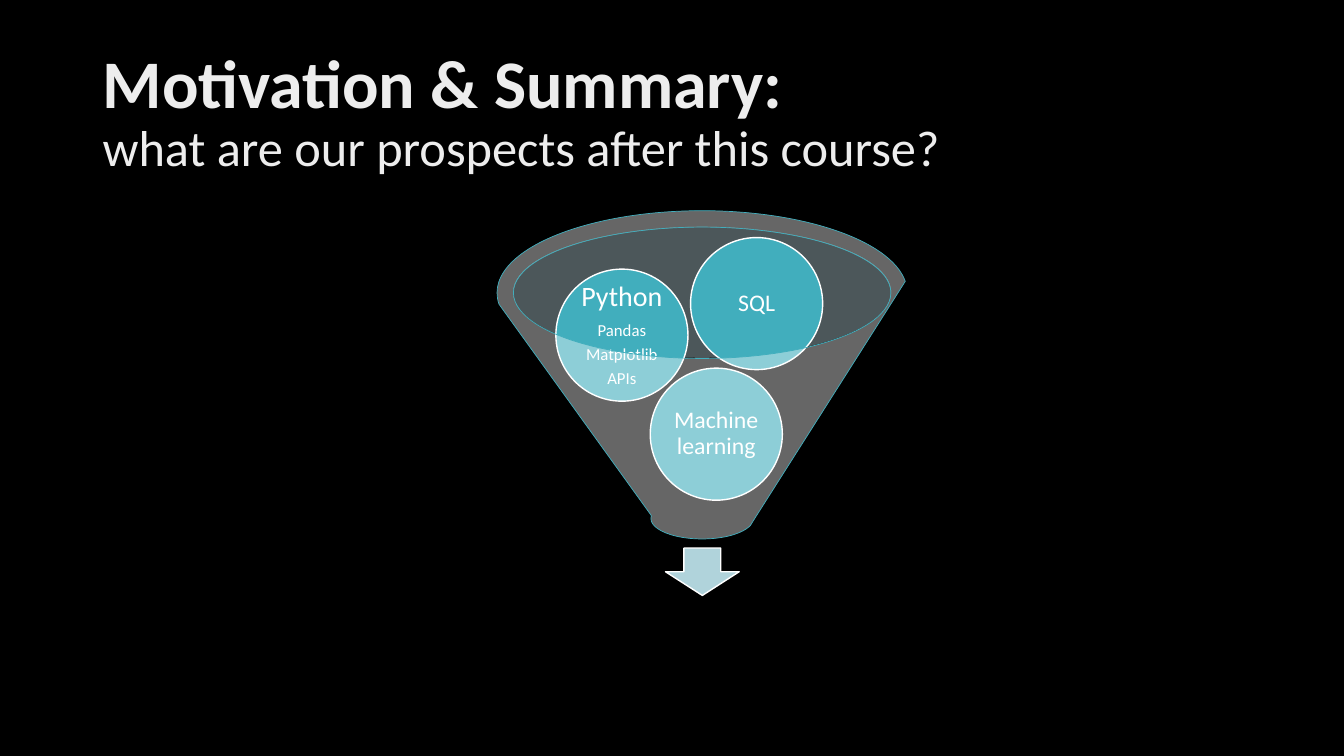
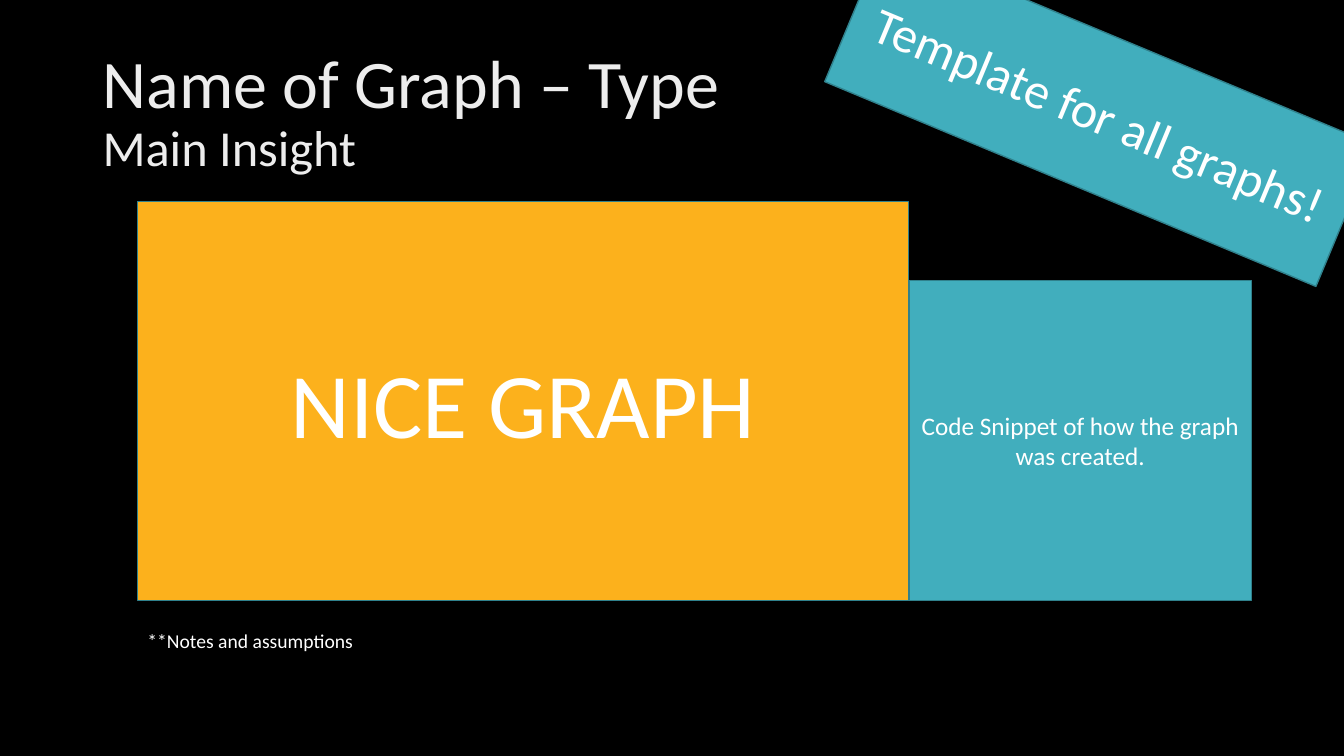
from dataclasses import dataclass

from lxml.etree import SubElement
from pptx import Presentation
from pptx.dml.color import RGBColor
from pptx.enum.shapes import MSO_SHAPE
from pptx.enum.text import MSO_ANCHOR, PP_ALIGN
from pptx.oxml.ns import qn
from pptx.util import Inches, Pt

# Shared look
FONT = "Calibri"
BLACK, WHITE, SILVER = "000000", "FFFFFF", "EDEDED"
TEAL, DARK_TEAL, PALE_TEAL, MIST = "41AEBD", "30818C", "B0D3DB", "C0DBE1"
AMBER = "FCB11C"
TITLE_SIZE, SUBTITLE_SIZE = 48.6, 36
BALL_WIDTH, BALL_HEIGHT = 9.83, 17.47

Box = tuple[float, float, float, float]  # left, top, width, height in % of slide
Line = tuple[str, float]  # wording, size in points


@dataclass
class Block:
    box: Box
    fill: str
    kind: MSO_SHAPE = MSO_SHAPE.RECTANGLE
    line: str | None = DARK_TEAL
    line_width: float = 1
    opacity: int = 100
    rotation: float = 0
    lines: tuple[Line, ...] = ()
    inset: float | None = None
    spacing: float = 1
    after: float = 0  # paragraph gap as a share of the text size


def rgb(value: str) -> RGBColor:
    return RGBColor.from_string(value)


def apply(target, values: dict) -> None:
    for name, value in values.items():
        setattr(target, name, value)


def place(box: Box) -> dict:
    x, y, w, h = (v / 100 for v in box)
    return {"left": int(x * prs.slide_width), "top": int(y * prs.slide_height),
            "width": int(w * prs.slide_width), "height": int(h * prs.slide_height)}


def add_run(p, text: str, size: float, color: str = WHITE, bold: bool = False) -> None:
    r = p.add_run()
    r.text = text
    apply(r.font, {"name": FONT, "size": Pt(size), "bold": bold})
    r.font.color.rgb = rgb(color)


def add_titled_slide(title: str, subtitle: str, bold: bool = False):
    s = prs.slides.add_slide(layout)
    tf = s.shapes.title.text_frame
    apply(tf, {"vertical_anchor": MSO_ANCHOR.MIDDLE, "word_wrap": True})
    p = tf.paragraphs[0]
    apply(p, {"alignment": PP_ALIGN.LEFT, "line_spacing": 0.9})
    add_run(p, title, TITLE_SIZE, SILVER, bold)
    p.add_line_break()
    add_run(p, subtitle, SUBTITLE_SIZE, SILVER)
    return s


def draw(s, block: Block) -> None:
    sp = s.shapes.add_shape(block.kind, **place(block.box))
    sp.shadow.inherit = False
    sp.rotation = block.rotation
    sp.fill.solid()
    sp.fill.fore_color.rgb = rgb(block.fill)
    if block.opacity < 100:
        color = sp.fill._xPr.find(qn("a:solidFill"))[0]
        SubElement(color, qn("a:alpha"), val=str(block.opacity * 1000))
    if block.line:
        sp.line.color.rgb = rgb(block.line)
        sp.line.width = Pt(block.line_width)
    else:
        sp.line.fill.background()

    tf = sp.text_frame
    apply(tf, {"vertical_anchor": MSO_ANCHOR.MIDDLE, "word_wrap": True})
    if block.inset is not None:
        sides = ("left", "top", "right", "bottom")
        apply(tf, {f"margin_{side}": Inches(block.inset) for side in sides})
    for i, (text, size) in enumerate(block.lines):
        p = tf.add_paragraph() if i else tf.paragraphs[0]
        apply(p, {"alignment": PP_ALIGN.CENTER, "line_spacing": block.spacing,
                  "space_after": Pt(size * block.after)})
        add_run(p, text, size)


def ball(left: float, top: float, *lines: Line) -> Block:
    return Block((left, top, BALL_WIDTH, BALL_HEIGHT), TEAL, MSO_SHAPE.OVAL, WHITE,
                 lines=lines, inset=0.02, spacing=0.9, after=0.35)


# Slide size (16:9), background and title place
prs = Presentation()
prs.slide_width, prs.slide_height = Inches(7.5 * 16 / 9), Inches(7.5)
background = prs.slide_master.background.fill
background.solid()
background.fore_color.rgb = rgb(BLACK)
layout = prs.slide_layouts[5]
apply(layout.placeholders[0], place((6.88, 5.33, 86.25, 19.33)))

# Slide 1: skills falling through a funnel
s = add_titled_slide("Motivation & Summary:",
                     "what are our prospects after this course?", bold=True)
for block in (
    Block((38.18, 30, 28.13, 17.33), MIST, MSO_SHAPE.OVAL, None, opacity=40),
    Block((49.52, 72.5, 5.48, 6.27), PALE_TEAL, MSO_SHAPE.DOWN_ARROW, WHITE),
    ball(48.38, 48.7, ("Machine learning", 17)),
    ball(41.36, 35.6, ("Python", 20), ("Pandas", 12), ("Matplotlib", 12), ("APIs", 12)),
    ball(51.38, 31.43, ("SQL", 17)),
    Block((36.98, 27.87, 30.53, 43.43), WHITE, MSO_SHAPE.FUNNEL, TEAL, 0.5, 40),
):
    draw(s, block)

# Slide 2: graph template
s = add_titled_slide("Name of Graph – Type", "Main Insight")
for block in (
    Block((62.03, 4.86, 39.6, 20.27), TEAL, rotation=22.63,
          lines=(("Template for all graphs!", 36),)),
    Block((10.23, 26.67, 57.38, 52.77), AMBER, lines=(("NICE GRAPH", 66),)),
    Block((67.65, 37.1, 25.46, 42.33), TEAL,
          lines=(("Code Snippet of how the graph was created.", 18),)),
):
    draw(s, block)

# Notes line below the graph
tf = s.shapes.add_textbox(**place((10.23, 82.53, 81.9, 4.53))).text_frame
tf.word_wrap = True
add_run(tf.paragraphs[0], "**Notes and assumptions", 14)

prs.save("out.pptx")
